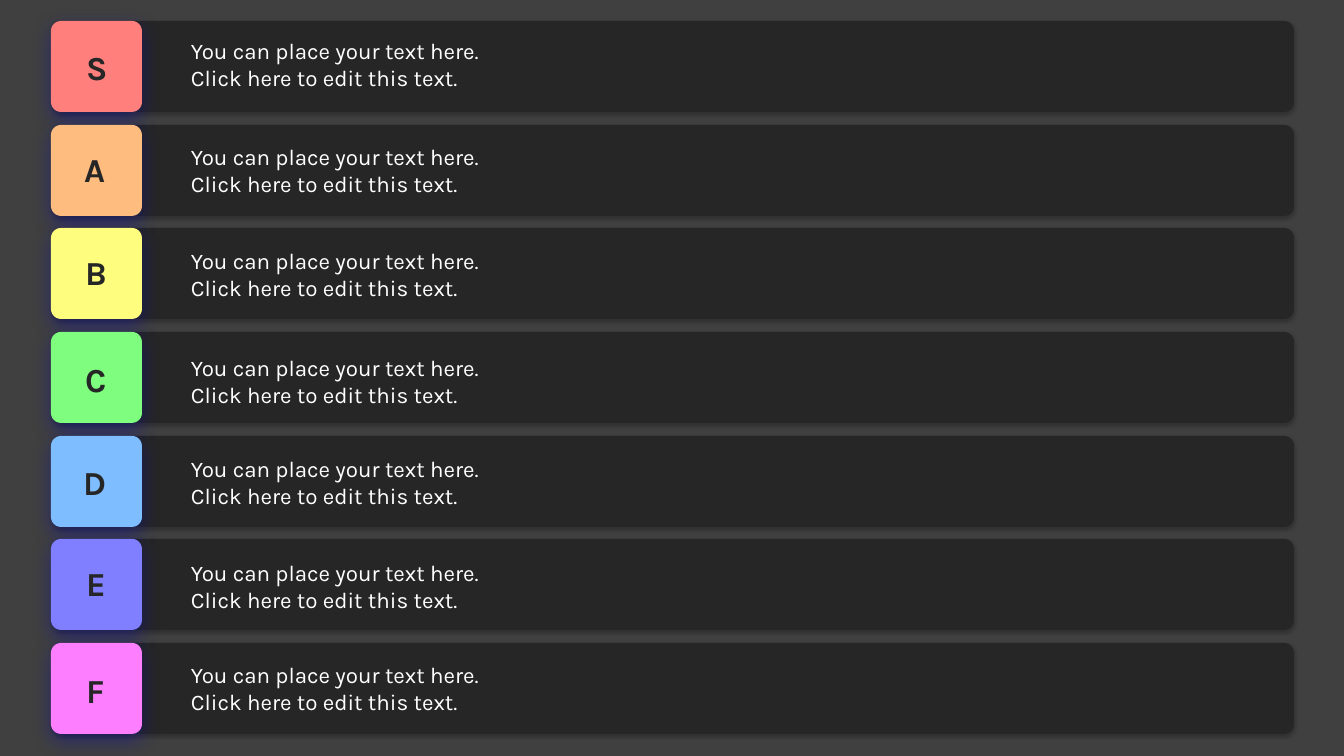
from lxml import etree
from pptx import Presentation
from pptx.dml.color import RGBColor
from pptx.enum import shapes, text
from pptx.oxml import ns
from pptx.util import Emu, Pt

PX = 9144000 / 1344  # EMU in one px
FONT = "Karla"
COLORS = {
    "page": "404040", "dark": "262626", "white": "FFFFFF",
    "bar_shadow": "000000", "tile_shadow": "0000BF",
    "S": "FF7F7D", "A": "FEBD7F", "B": "FFFD7D", "C": "7FFD7F",
    "D": "7EBDFF", "E": "7F7FFF", "F": "FD7FFF",
}
CAPTION = "You can place your text here. Click here to edit this text."
# Tier, letter box width, letter offset and caption offset from the row top
TIERS = [
    ("S", 46, 19, 16), ("A", 51, 17, 18), ("B", 48, 17, 19), ("C", 48, 20, 22),
    ("D", 52, 19, 19), ("E", 46, 17, 20), ("F", 46, 20, 18),
]
LEFT, WIDTH, SIZE = 51, 1243, 91
FIRST_TOP, LAST_TOP = 21, 643


def px(length):
    return Emu(round(length * PX))


def rgb(name):
    return RGBColor.from_string(COLORS[name])


def add_shadow(shape, color, opacity, blur, distance):
    shape.shadow.inherit = False
    effects = shape._element.spPr.find(ns.qn("a:effectLst"))
    outer = etree.SubElement(
        effects, ns.qn("a:outerShdw"), blurRad=str(Pt(blur)),
        dist=str(Pt(distance)), dir="5400000", algn="t", rotWithShape="0")
    shade = etree.SubElement(outer, ns.qn("a:srgbClr"), val=COLORS[color])
    etree.SubElement(shade, ns.qn("a:alpha"), val=str(opacity * 1000))


def add_card(page, box, color):
    card = page.shapes.add_shape(
        shapes.MSO_SHAPE.ROUNDED_RECTANGLE, *map(px, box))
    card.adjustments[0] = 0.11
    card.fill.solid()
    card.fill.fore_color.rgb = rgb(color)
    card.line.fill.background()
    return card


def add_text(page, box, words, size, color, bold=False):
    frame = page.shapes.add_textbox(*map(px, box)).text_frame
    span = frame.paragraphs[0].add_run()
    span.text = words
    span.font.name, span.font.size, span.font.bold = FONT, Pt(size), bold
    span.font.color.rgb = rgb(color)
    return frame


def add_bar(page, box):
    add_shadow(add_card(page, box, "dark"), "bar_shadow", 23, 2, 1)


def add_tile(page, box, tier):
    left, top, _, height = box
    tile = add_card(page, (left, top, height, height), tier)
    add_shadow(tile, "tile_shadow", 35, 11, 4)


def add_letter(page, box, tier, width, offset):
    left, top, _, height = box
    place = (left + (height - width) // 2, top + offset, width, 54)
    frame = add_text(page, place, tier, 18, "dark", bold=True)
    frame.word_wrap = False
    frame.auto_size = text.MSO_AUTO_SIZE.SHAPE_TO_FIT_TEXT


def add_caption(page, box, offset):
    left, top = box[:2]
    frame = add_text(page, (left + 140, top + offset, 296, 55),
                     CAPTION, 12, "white")
    frame.word_wrap = True
    frame.margin_left = frame.margin_right = 0
    frame.margin_top = frame.margin_bottom = 0


def add_tier_list(page):
    step = (LAST_TOP - FIRST_TOP) / (len(TIERS) - 1)
    rows = [((LEFT, FIRST_TOP + round(step * index), WIDTH, SIZE), *tier)
            for index, tier in enumerate(TIERS)]
    # Layer by layer, so that tile shadows fall on every bar
    for box, *_ in rows:
        add_bar(page, box)
    for box, tier, *_ in rows:
        add_tile(page, box, tier)
    for box, tier, width, letter_offset, _ in rows:
        add_letter(page, box, tier, width, letter_offset)
    for box, *_, caption_offset in rows:
        add_caption(page, box, caption_offset)


def main():
    deck = Presentation()
    deck.slide_width, deck.slide_height = px(1344), px(756)
    page = deck.slides.add_slide(deck.slide_layouts[6])
    page.background.fill.solid()
    page.background.fill.fore_color.rgb = rgb("page")
    add_tier_list(page)
    deck.save("out.pptx")


if __name__ == "__main__":
    main()
